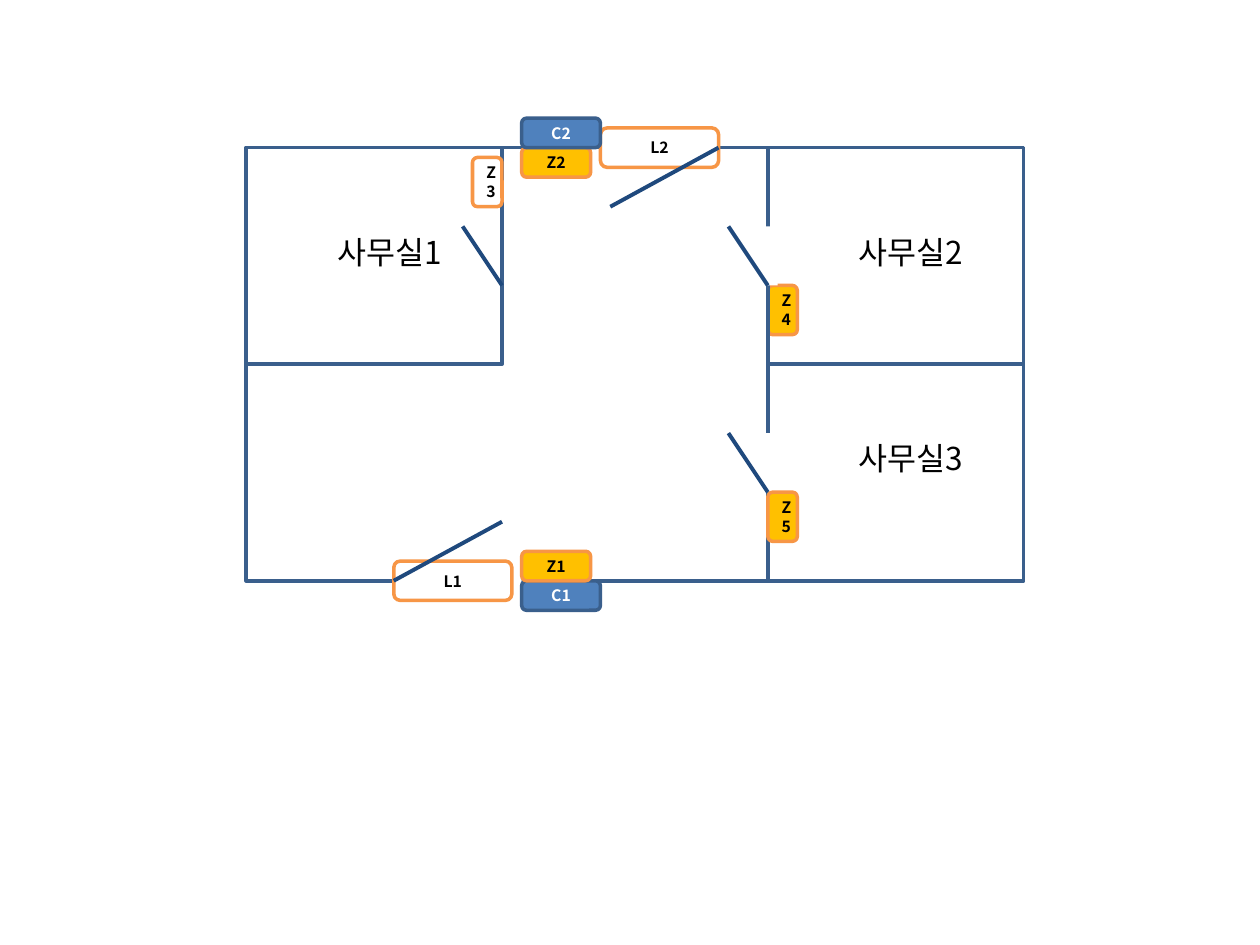
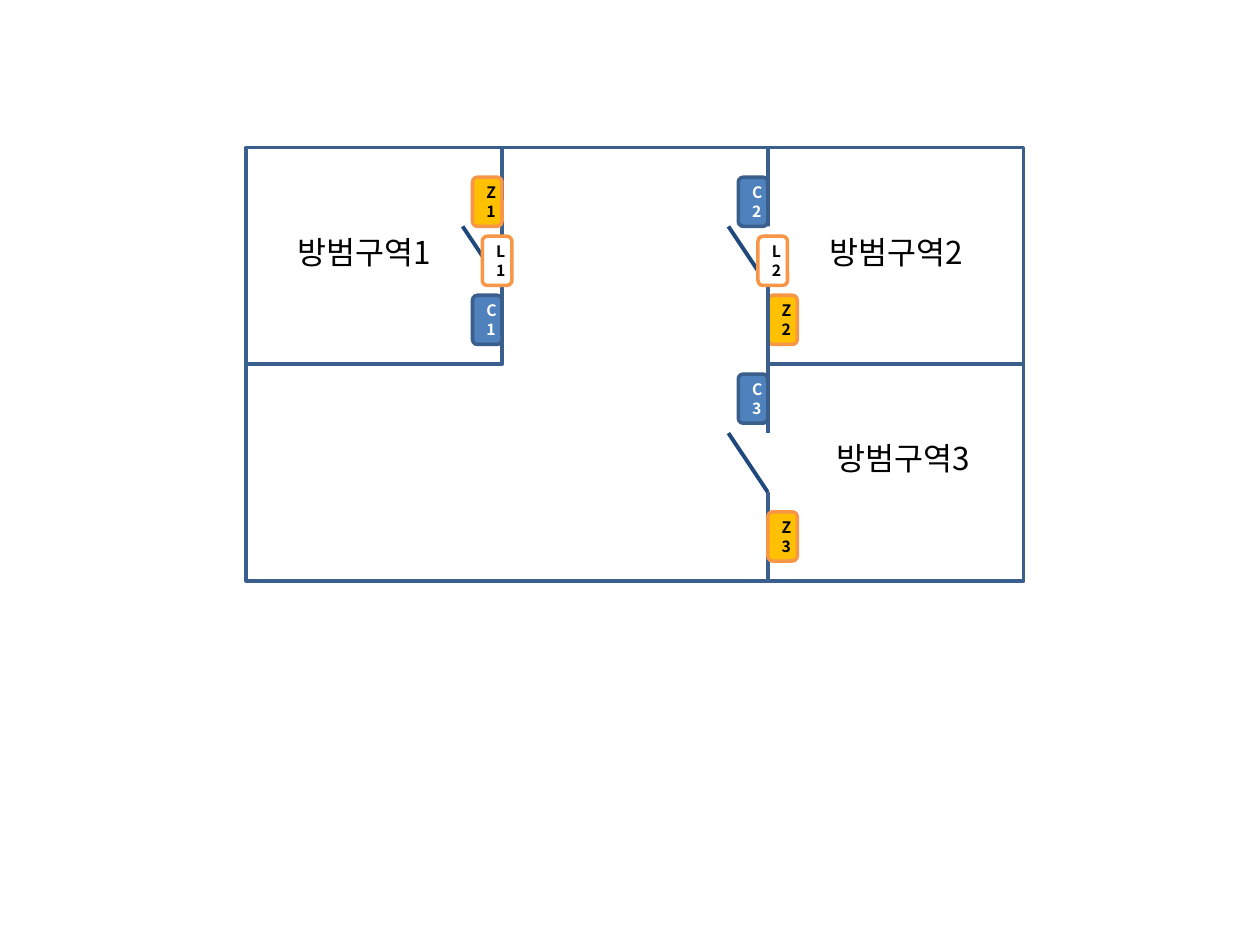
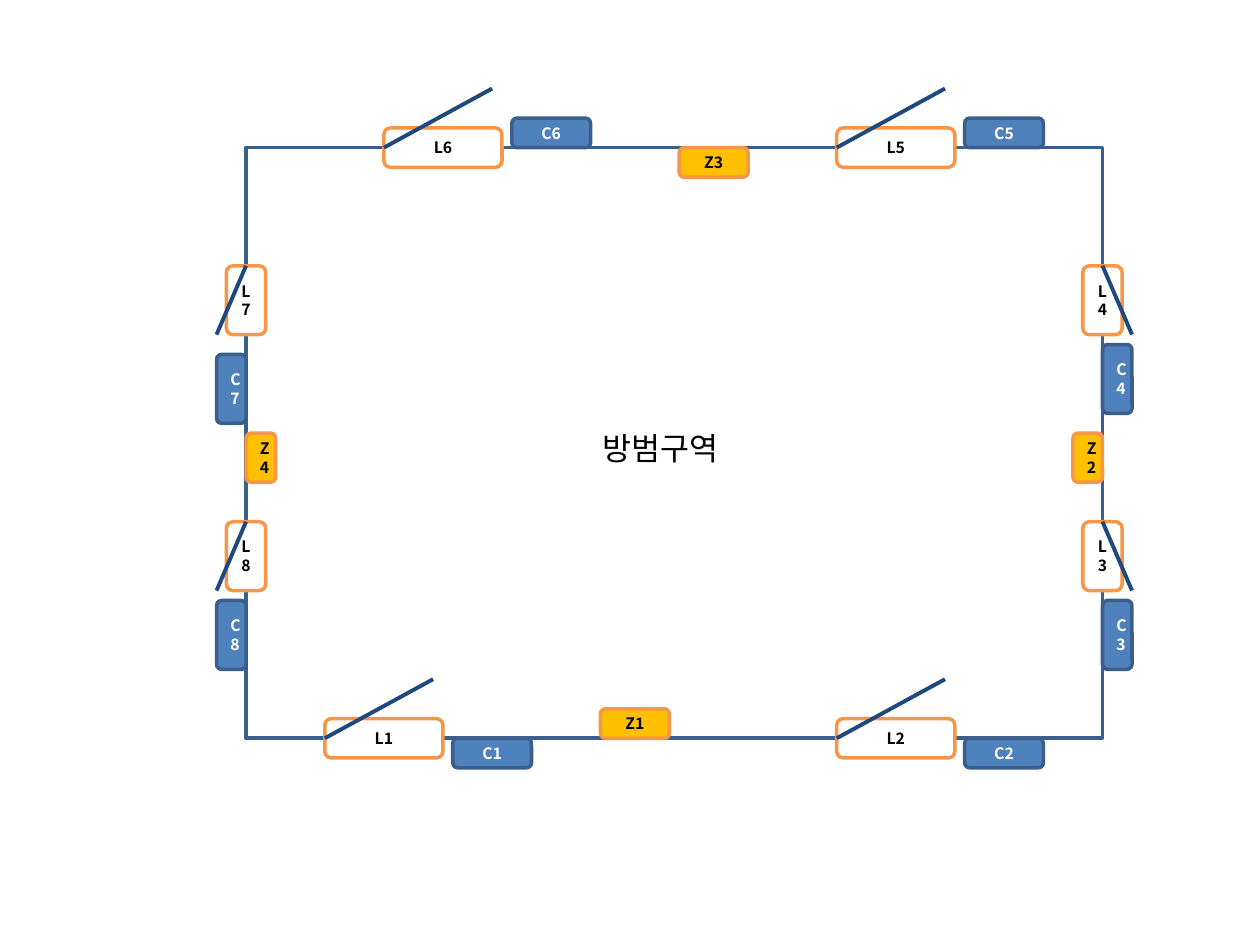
"""Builds three floor plans with numbered sensors, locks and controllers."""
from lxml import etree
from pptx import Presentation
from pptx.dml.color import RGBColor
from pptx.enum.shapes import MSO_CONNECTOR, MSO_SHAPE
from pptx.enum.text import MSO_ANCHOR, MSO_AUTO_SIZE, PP_ALIGN
from pptx.oxml.ns import qn
from pptx.util import Pt

RECT, ROUNDED = MSO_SHAPE.RECTANGLE, MSO_SHAPE.ROUNDED_RECTANGLE
STRAIGHT = MSO_CONNECTOR.STRAIGHT
MIDDLE, CENTER = MSO_ANCHOR.MIDDLE, PP_ALIGN.CENTER
FIT_SHAPE = MSO_AUTO_SIZE.SHAPE_TO_FIT_TEXT

WIDTH, HEIGHT = 720, 540
GRID = WIDTH / 128
FONT = "Noto Sans CJK KR"
BLACK, WHITE = "000000", "FFFFFF"
WALL, LEAF, ORANGE = "3A5F8C", "1F497D", "F79646"
TAG_COLOURS = {
    "C": ("4F81BD", WALL, WHITE),
    "L": (WHITE, ORANGE, BLACK),
    "Z": ("FFC000", ORANGE, BLACK),
}
UPRIGHT, TALL = (3, 5), (3, 7)
WIDE_C, WIDE_L, WIDE_Z, TALL_L = (8, 3), (12, 4), (7, 3), (4, 7)


def rgb(value):
    return RGBColor.from_string(value)


def grid(*values):
    return [Pt(v * GRID) for v in values]


class Plan:
    """Holds the style and the current slide of a floor plan deck."""

    def __init__(self):
        self.prs = Presentation()
        self.prs.slide_width, self.prs.slide_height = Pt(WIDTH), Pt(HEIGHT)

    def new_slide(self):
        self.shapes = self.prs.slides.add_slide(self.prs.slide_layouts[6]).shapes

    def set_text(self, tf, text, size, colour, bold=False):
        p = tf.paragraphs[0]
        p.text = text
        p.font.size, p.font.bold, p.font.name = Pt(size), bold, FONT
        p.font.color.rgb = rgb(colour)
        r_pr = p.runs[0]._r.get_or_add_rPr()
        etree.SubElement(r_pr, qn("a:ea")).set("typeface", FONT)
        return p

    def box(self, kind, x, y, w, h, fill=None, line=None):
        sp = self.shapes.add_shape(kind, *grid(x, y, w, h))
        sp.shadow.inherit = False
        if fill:
            sp.fill.solid()
            sp.fill.fore_color.rgb = rgb(fill)
        else:
            sp.fill.background()
        if line:
            sp.line.color.rgb = rgb(line)
            sp.line.width = Pt(2)
        else:
            sp.line.fill.background()
        return sp

    def room(self, x, y, w, h):
        self.box(RECT, x, y, w, h, line=WALL)

    def opening(self, x, y, w, h):
        self.box(RECT, x, y, w, h, fill=WHITE)

    def leaf(self, x1, y1, x2, y2):
        line = self.shapes.add_connector(STRAIGHT, *grid(x1, y1, x2, y2))
        line.line.color.rgb = rgb(LEAF)
        line.line.width = Pt(2.25)
        etree.SubElement(line._element.spPr, qn("a:effectLst"))

    def tag(self, name, x, y, size, style=None):
        fill, line, colour = TAG_COLOURS[style or name[0]]
        tf = self.box(ROUNDED, x, y, *size, fill, line).text_frame
        tf.vertical_anchor = MIDDLE
        self.set_text(tf, name, 9, colour, True).alignment = CENTER

    def label(self, text, x, y, w):
        sp = self.shapes.add_textbox(*grid(x, y, w, 5.17))
        sp.text_frame.word_wrap = False
        sp.text_frame.auto_size = FIT_SHAPE
        self.set_text(sp.text_frame, text, 18, BLACK)

    def tags(self, *items):
        for item in items:
            self.tag(*item)

    def offices(self, name, places, label_w, *back_tags):
        self.new_slide()
        self.room(25, 15, 79, 44)
        self.room(25, 15, 26, 22)
        self.leaf(51, 29, 47, 23)
        self.tags(*back_tags)
        for y in (15, 37):
            self.room(78, y, 26, 22)
        for i, (x, y) in enumerate(places, 1):
            self.label(f"{name}{i}", x, y, label_w)
        for y in (23, 44):
            self.opening(77, y, 2, 6)
            self.leaf(78, y + 6, 74, y)


plan = Plan()

plan.offices("사무실", [(33, 23), (86, 23), (86, 44)], 14.1,
             ("Z4", 78, 29, UPRIGHT), ("Z3", 48, 16, UPRIGHT, "L"))
plan.opening(40, 58, 13, 3)
plan.tags(("C1", 53, 59, WIDE_C), ("L1", 40, 57, WIDE_L))
plan.leaf(40, 59, 51, 53)
plan.tag("L2", 61, 13, WIDE_L)
plan.leaf(62, 21, 73, 15)
plan.tags(("Z1", 53, 56, WIDE_Z), ("Z2", 53, 15, WIDE_Z),
          ("Z5", 78, 50, UPRIGHT), ("C2", 53, 12, WIDE_C))

plan.offices("방범구역", [(29, 23), (83, 23), (83.7, 44)], 17.3,
             ("C1", 48, 30, UPRIGHT), ("Z2", 78, 30, UPRIGHT), ("Z1", 48, 18, UPRIGHT))
plan.tags(("C2", 75, 18, UPRIGHT), ("C3", 75, 38, UPRIGHT), ("L2", 77, 24, UPRIGHT),
          ("L1", 49, 24, UPRIGHT), ("Z3", 78, 52, UPRIGHT))

plan.new_slide()
plan.room(25, 15, 87, 60)
plan.label("방범구역", 60, 43, 15.5)
for n, x, wall, c_y in ((1, 33, 75, 75), (2, 85, 75, 75), (5, 85, 15, 12), (6, 39, 15, 12)):
    plan.tags((f"C{n}", x + 13, c_y, WIDE_C), (f"L{n}", x, wall - 2, WIDE_L))
    plan.leaf(x, wall, x + 11, wall - 6)
for n, wall, y, side, c_y in ((7, 25, 27, -3, 36), (8, 25, 53, -3, 61),
                              (4, 112, 27, 3, 35), (3, 112, 53, 3, 61)):
    plan.tag(f"L{n}", wall - 2, y, TALL_L)
    plan.leaf(wall + side, y + 7, wall, y)
    plan.tag(f"C{n}", min(wall, wall + side), c_y, TALL)
plan.tags(("Z1", 61, 72, WIDE_Z), ("Z2", 109, 44, UPRIGHT),
          ("Z3", 69, 15, WIDE_Z), ("Z4", 25, 44, UPRIGHT))

plan.prs.save("out.pptx")
